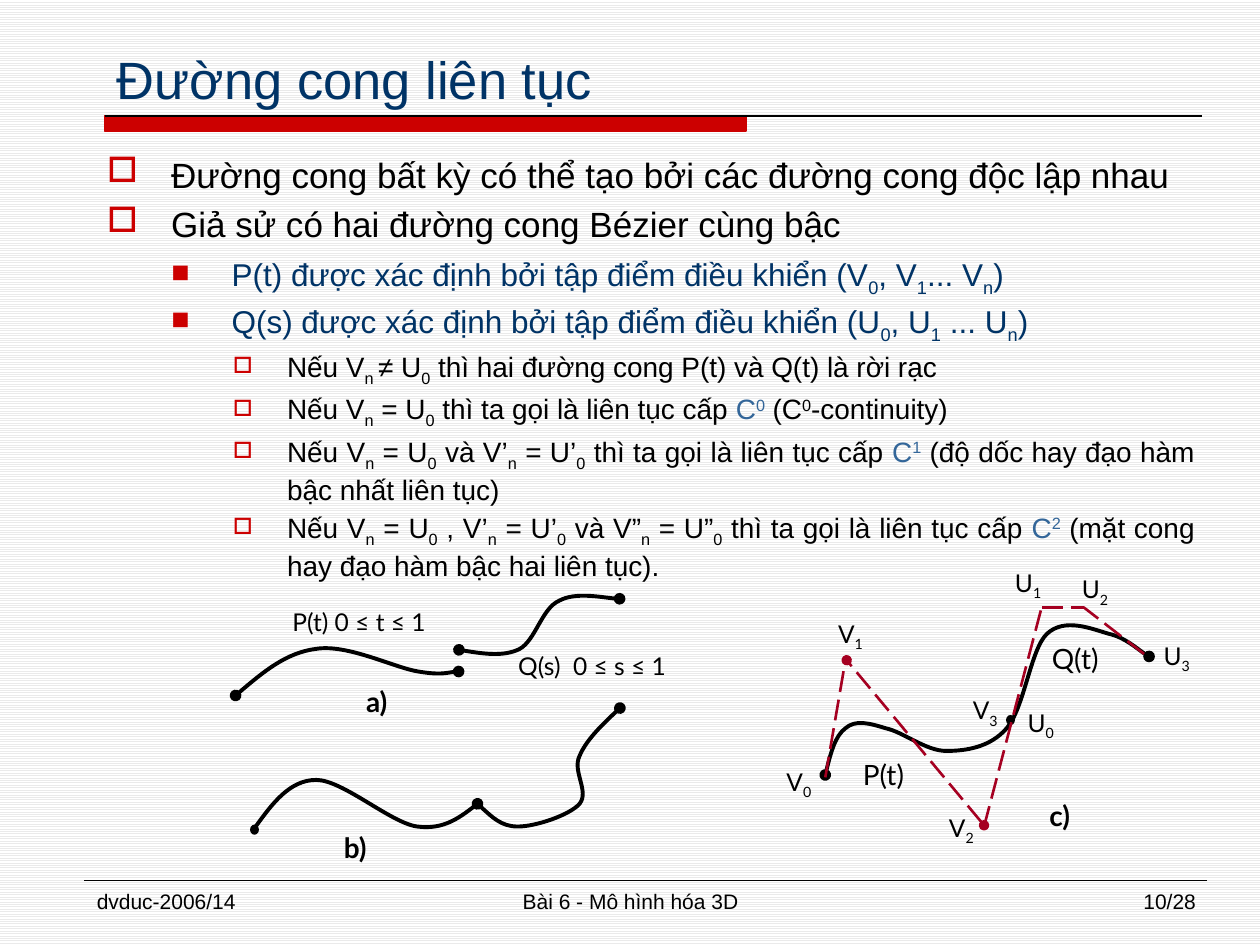
from dataclasses import dataclass

from lxml.etree import SubElement
from pptx import Presentation
from pptx.dml.color import RGBColor
from pptx.enum.dml import MSO_LINE, MSO_PATTERN
from pptx.enum.shapes import MSO_CONNECTOR, MSO_SHAPE
from pptx.enum.text import MSO_ANCHOR, PP_ALIGN
from pptx.oxml.ns import qn
from pptx.util import Inches, Pt


@dataclass(frozen=True)
class Theme:
    black: str = "000000"
    navy: str = "003366"
    blue: str = "336699"
    red: str = "CC0000"
    crimson: str = "A50021"
    white: str = "FFFFFF"
    stripe: str = "EAEAEA"
    text_font: str = "Arial"
    figure_font: str = "Lato"
    title_size: int = 30
    body_sizes: tuple = (20, 18, 16)
    label_size: int = 14
    caption_size: int = 16
    footer_size: int = 12


@dataclass(frozen=True)
class Level:
    color: str
    bullet: str
    bullet_size: int
    margin: float
    hanging: float
    before: int
    after: int
    alignment: PP_ALIGN


THEME = Theme()
LEVELS = (
    Level(THEME.black, "□", 100, 0.51, 0.51, 5, 15, PP_ALIGN.LEFT),
    Level(THEME.navy, "■", 80, 0.99, 0.48, 15, 0, PP_ALIGN.JUSTIFY),
    Level(THEME.black, "□", 80, 1.43, 0.43, 15, 0, PP_ALIGN.JUSTIFY),
)
BODY = (
    (0, "Đường cong bất kỳ có thể tạo bởi các đường cong độc lập nhau"),
    (0, "Giả sử có hai đường cong Bézier cùng bậc"),
    (1, "P(t) được xác định bởi tập điểm điều khiển (V|_0|, V|_1|... V|_n|)"),
    (1, "Q(s) được xác định bởi tập điểm điều khiển (U|_0|, U|_1| ... U|_n|)"),
    (2, "Nếu V|_n |≠ U|_0| thì hai đường cong P(t) và Q(t) là rời rạc"),
    (2, "Nếu V|_n| = U|_0| thì ta gọi là liên tục cấp |*C|*^0| (C|^0|-continuity)"),
    (2, "Nếu V|_n| = U|_0| và V’|_n| = U’|_0| thì ta gọi là liên tục cấp |*C|*^1"
        "| (độ dốc hay đạo hàm bậc nhất liên tục)"),
    (2, "Nếu V|_n| = U|_0| , V’|_n| = U’|_0| và V”|_n| = U”|_0"
        "| thì ta gọi là liên tục cấp |*C|*^2| (mặt cong hay đạo hàm bậc hai liên tục)."),
)
BASELINES = {"_": "-25000", "^": "30000"}


def write_marked(paragraph, marked, size, color, font=THEME.text_font, bold=False):
    for piece in marked.split("|"):
        highlighted = piece.startswith("*")
        piece = piece.removeprefix("*")
        baseline = BASELINES.get(piece[:1])
        run = paragraph.add_run()
        run.text = piece[1:] if baseline else piece
        run.font.name = font
        run.font.size = Pt(size)
        run.font.bold = bold
        run.font.color.rgb = RGBColor.from_string(THEME.blue if highlighted else color)
        if baseline:
            run._r.get_or_add_rPr().set("baseline", baseline)


def add_text(shapes, box, marked, size, color=THEME.black, font=THEME.text_font,
             alignment=PP_ALIGN.LEFT, anchor=MSO_ANCHOR.TOP, bold=False, wrap=True):
    text_frame = shapes.add_textbox(*map(Inches, box)).text_frame
    text_frame.word_wrap = wrap
    text_frame.vertical_anchor = anchor
    paragraph = text_frame.paragraphs[0]
    paragraph.alignment = alignment
    write_marked(paragraph, marked, size, color, font, bold)


def style_line(shape, color, width, ends=False, dash=None):
    shape.line.color.rgb = RGBColor.from_string(color)
    shape.line.width = Pt(width)
    if dash:
        shape.line.dash_style = dash
    if ends:
        line = shape.line._get_or_add_ln()
        for tag in ("a:headEnd", "a:tailEnd"):
            SubElement(line, qn(tag)).set("type", "oval")


def add_line(shapes, start, end, color, width, ends=False, dash=None):
    connector = shapes.add_connector(
        MSO_CONNECTOR.STRAIGHT, *map(Inches, (*start, *end)))
    style_line(connector, color, width, ends, dash)
    SubElement(connector.element.spPr, qn("a:effectLst"))


def add_solid(shapes, kind, box, color):
    shape = shapes.add_shape(kind, *map(Inches, box))
    shape.shadow.inherit = False
    shape.fill.solid()
    shape.fill.fore_color.rgb = RGBColor.from_string(color)
    style_line(shape, color, 0.75)


class Figure:
    def __init__(self, slide, left, top):
        self.shapes = slide.shapes.add_group_shape().shapes
        self.left, self.top = left, top

    def place(self, point):
        return self.left + point[0], self.top + point[1]

    def curve(self, points, ends=True):
        placed = [tuple(map(Inches, self.place(point))) for point in points]
        builder = self.shapes.build_freeform(*placed[0])
        builder.add_line_segments(placed[1:], close=False)
        shape = builder.convert_to_shape()
        shape.shadow.inherit = False
        shape.fill.background()
        style_line(shape, THEME.black, 2.25, ends)
        outline = next(shape.element.iter(qn("a:path")))
        segments = outline.findall(qn("a:lnTo"))
        for index in range(0, len(segments), 3):
            cubic = SubElement(outline, qn("a:cubicBezTo"))
            for segment in segments[index:index + 3]:
                cubic.append(segment[0])
                outline.remove(segment)
        return shape

    def dash(self, start, end, ends=False):
        add_line(self.shapes, self.place(start), self.place(end),
                 THEME.crimson, 1.5, ends, MSO_LINE.LONG_DASH)

    def dot(self, point):
        add_solid(self.shapes, MSO_SHAPE.OVAL, (*self.place(point), 0.06, 0.07), THEME.black)

    def label(self, point, marked, size=THEME.label_size, width=0.48, height=0.38,
              alignment=PP_ALIGN.CENTER, bold=False, wrap=True):
        add_text(self.shapes, (*self.place(point), width, height), marked, size,
                 font=THEME.figure_font, alignment=alignment, bold=bold, wrap=wrap)

    def caption(self, point, text):
        self.label(point, text, THEME.caption_size, bold=True)


def add_title(slide, left, top):
    add_solid(slide.shapes, MSO_SHAPE.RECTANGLE, (left, top + 0.75, 5.09, 0.12), THEME.red)
    add_line(slide.shapes, (left, top + 0.75), (left + 8.71, top + 0.75), THEME.black, 0.75)
    add_text(slide.shapes, (left, top, 9, 0.75), "Đường cong liên tục",
             THEME.title_size, THEME.navy, anchor=MSO_ANCHOR.BOTTOM)


def add_body(slide, left, top, width, height):
    text_frame = slide.shapes.add_textbox(*map(Inches, (left, top, width, height))).text_frame
    text_frame.word_wrap = True
    for index, (depth, marked) in enumerate(BODY):
        level = LEVELS[depth]
        paragraph = text_frame.add_paragraph() if index else text_frame.paragraphs[0]
        paragraph.level = depth
        paragraph.alignment = level.alignment
        properties = paragraph._p.get_or_add_pPr()
        properties.set("marL", str(Inches(level.margin)))
        properties.set("indent", str(-Inches(level.hanging)))
        for tag, percent in (("a:spcBef", level.before), ("a:spcAft", level.after)):
            spacing = SubElement(properties, qn(tag))
            SubElement(spacing, qn("a:spcPct")).set("val", str(percent * 1000))
        bullet_color = SubElement(properties, qn("a:buClr"))
        SubElement(bullet_color, qn("a:srgbClr")).set("val", THEME.red)
        SubElement(properties, qn("a:buSzPct")).set("val", str(level.bullet_size * 1000))
        SubElement(properties, qn("a:buChar")).set("char", level.bullet)
        write_marked(paragraph, marked, THEME.body_sizes[depth], level.color)


def add_separate_curves(slide, left, top):
    figure = Figure(slide, left, top)
    figure.curve([(0.02, 0.82), (0.22, 0.65), (0.42, 0.48), (0.66, 0.45), (0.91, 0.41),
                  (1.28, 0.6), (1.47, 0.63), (1.65, 0.66), (1.73, 0.63), (1.79, 0.63)])
    upper = figure.curve([(1.79, 0.45), (1.96, 0.48), (2.14, 0.51), (2.27, 0.45), (2.4, 0.38),
                          (2.45, 0.13), (2.59, 0.07), (2.72, 0), (2.99, 0.06), (3.07, 0.06)])
    upper.rotation = 359.3
    figure.label((0.1, 0.07), "P(t) 0 ≤ t ≤ 1", width=1.8, height=0.35)
    figure.label((1.97, 0.42), "Q(s)  0 ≤ s ≤ 1", width=1.76, height=0.41)
    figure.caption((0.9, 0.68), "a)")


def add_joined_curves(slide, left, top):
    figure = Figure(slide, left, top)
    figure.curve([(0.08, 0.96), (0.21, 0.78), (0.35, 0.59), (0.56, 0.59), (0.77, 0.59),
                  (1.15, 0.93), (1.36, 0.96), (1.58, 0.99), (1.71, 0.88), (1.84, 0.78)],
                 ends=False)
    figure.curve([(1.84, 0.78), (1.94, 0.87), (2.03, 0.96), (2.16, 0.96), (2.3, 0.96),
                  (2.57, 0.87), (2.65, 0.78), (2.73, 0.68), (2.59, 0.52), (2.65, 0.4),
                  (2.7, 0.28), (2.83, 0.15), (2.97, 0.02)])
    figure.dot((0.04, 0.95))
    figure.caption((0.63, 0.94), "b)")


def add_smooth_curve(slide, left, top):
    figure = Figure(slide, left, top)
    figure.curve([(0.45, 1.75), (0.49, 1.59), (0.53, 1.44), (0.61, 1.38), (0.69, 1.31),
                  (0.8, 1.34), (0.93, 1.38), (1.07, 1.41), (1.25, 1.56), (1.41, 1.56),
                  (1.57, 1.56), (1.76, 1.53), (1.89, 1.38), (2.03, 1.22), (2.08, 0.75),
                  (2.21, 0.63), (2.35, 0.5), (2.56, 0.59), (2.7, 0.63), (2.83, 0.66),
                  (2.96, 0.78), (3.02, 0.81)])
    figure.dot((1.89, 1.28))
    figure.dash((1.71, 2.15), (0.62, 0.84), ends=True)
    for start, end in (((1.71, 2.16), (2.17, 0.41)), ((0.45, 1.77), (0.61, 0.84)),
                       ((2.98, 0.79), (2.5, 0.42)), ((2.17, 0.42), (2.5, 0.42))):
        figure.dash(start, end)
    control_points = {"V|_0": (0, 1.64), "V|_1": (0.41, 0.46), "V|_2": (1.29, 2),
                      "V|_3": (1.48, 1.07), "U|_0": (1.92, 1.17), "U|_1": (1.82, 0.06),
                      "U|_2": (2.35, 0.11), "U|_3": (3, 0.64)}
    for marked, point in control_points.items():
        figure.label(point, marked)
    for text, point, width in (("P(t)", (0.65, 1.56), 0.57), ("Q(t)", (2.15, 0.64), 0.6)):
        figure.label(point, text, THEME.caption_size, width, 0.37, PP_ALIGN.LEFT, wrap=False)
    figure.caption((2.07, 1.89), "c)")


def add_footer(slide, left, top):
    add_line(slide.shapes, (left, top), (left + 8.91, top), THEME.black, 0.25)
    for text, offset, width, alignment in (
            ("dvduc-2006/14", 0, 2.17, PP_ALIGN.LEFT),
            ("Bài 6 - Mô hình hóa 3D", 2.75, 3.17, PP_ALIGN.CENTER),
            ("10/28", 6.75, 2.17, PP_ALIGN.RIGHT)):
        add_text(slide.shapes, (left + offset, top + 0.01, width, 0.35), text,
                 THEME.footer_size, alignment=alignment)


def main():
    presentation = Presentation()
    presentation.slide_width, presentation.slide_height = Inches(10), Inches(7.5)
    slide = presentation.slides.add_slide(presentation.slide_layouts[6])
    background = slide.background.fill
    background.patterned()
    background.pattern = MSO_PATTERN.LIGHT_HORIZONTAL
    background.fore_color.rgb = RGBColor.from_string(THEME.stripe)
    background.back_color.rgb = RGBColor.from_string(THEME.white)
    add_title(slide, 0.83, 0.17)
    add_body(slide, 0.75, 1.17, 8.83, 5.92)
    add_separate_curves(slide, 1.85, 4.7)
    add_joined_curves(slide, 1.95, 5.6)
    add_smooth_curve(slide, 6.1, 4.4)
    add_footer(slide, 0.67, 6.99)
    presentation.save("out.pptx")


if __name__ == "__main__":
    main()
